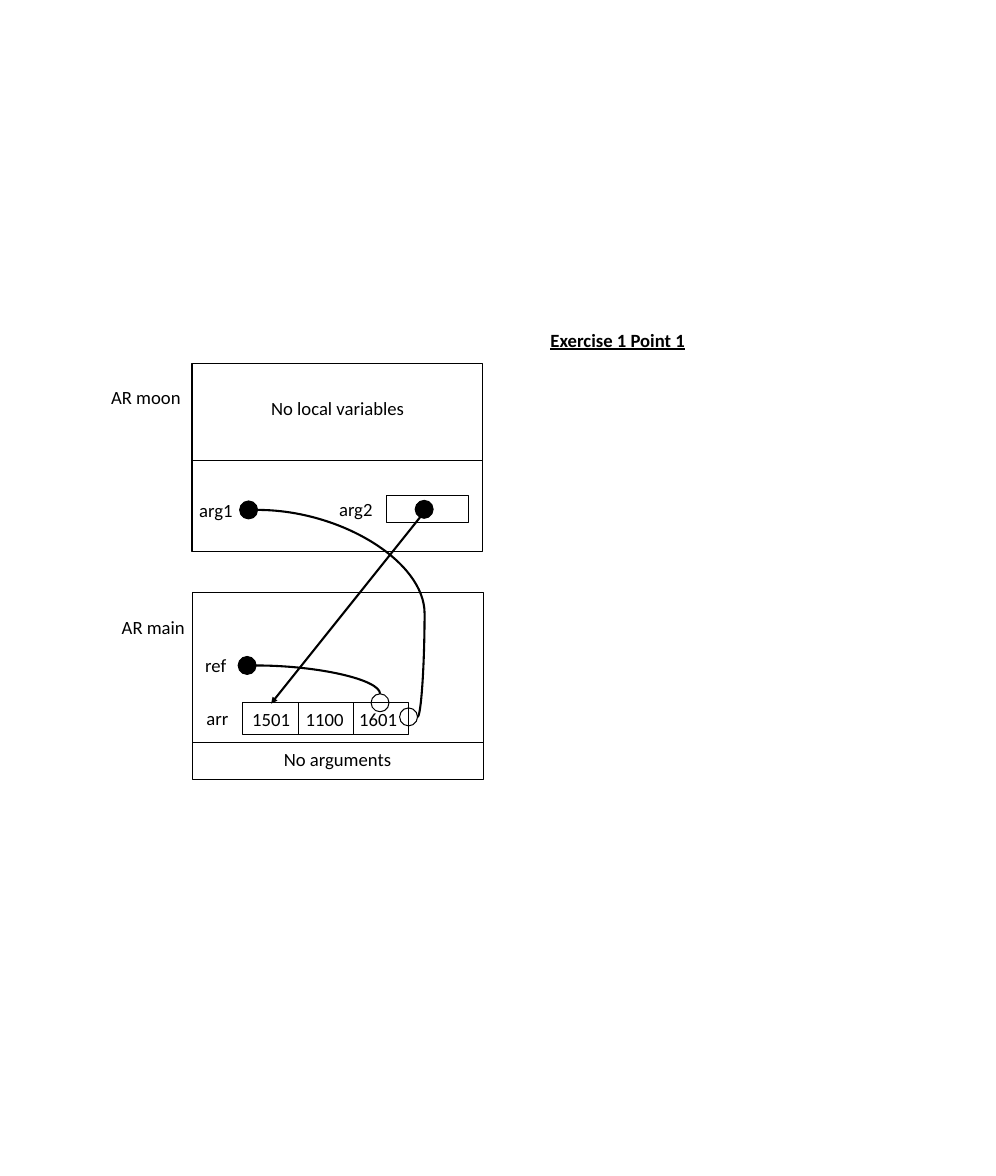
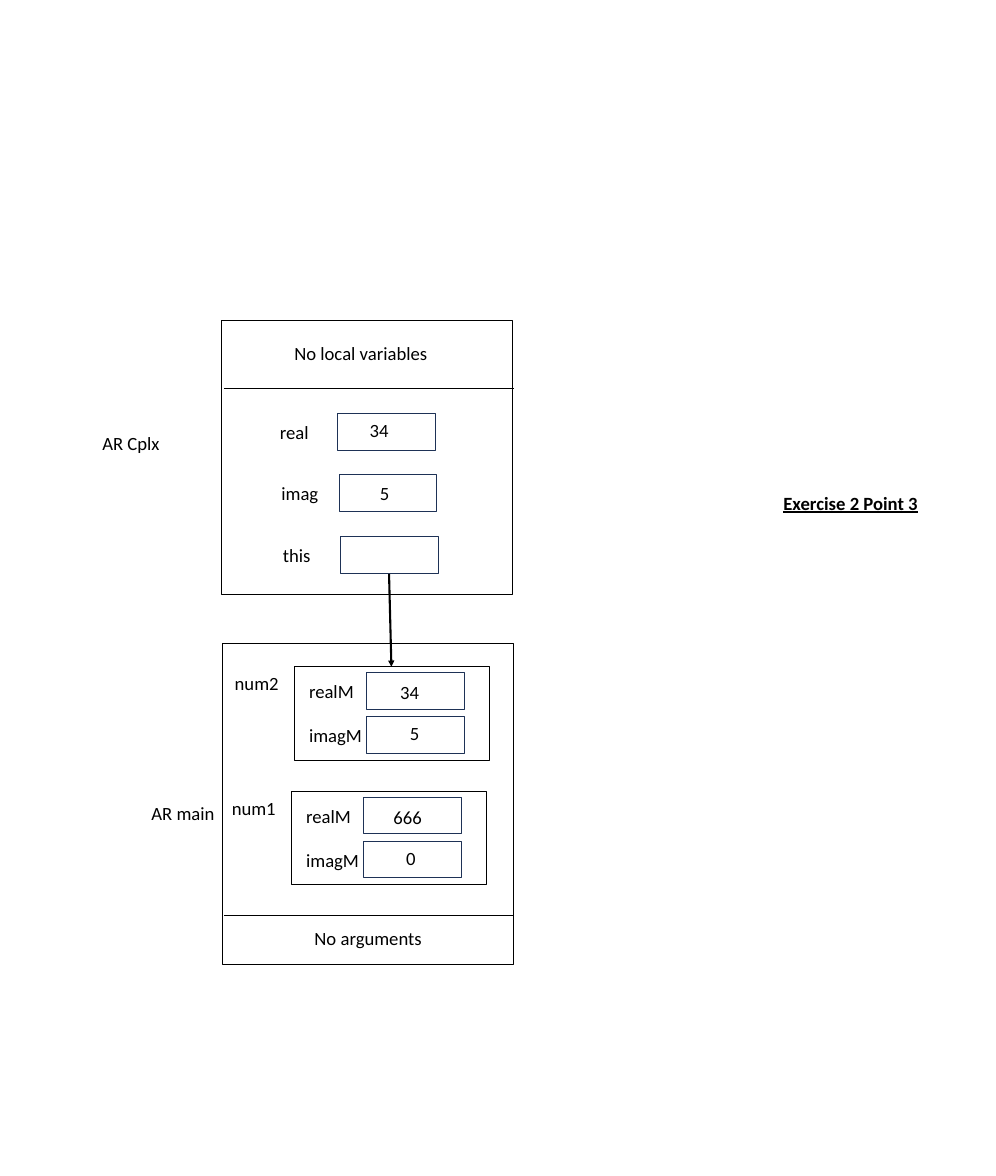
from dataclasses import dataclass

from lxml.etree import SubElement
from pptx import Presentation
from pptx.dml.color import RGBColor
from pptx.enum.shapes import MSO_CONNECTOR as Link, MSO_SHAPE as Preset
from pptx.enum.text import MSO_AUTO_SIZE as AutoSize, PP_ALIGN as Align
from pptx.oxml.ns import qn
from pptx.shapes.autoshape import Shape
from pptx.shapes.connector import Connector
from pptx.slide import Slide
from pptx.util import Cm, Pt

COLORS = {"ink": "000000", "field": "1E3256"}
FONT = "Calibri"
TEXT_SIZE = 18
LABEL_HEIGHT = 1.03
RECORD_WIDTH = 9.88
DIVIDER_WIDTH = 9.86
DOT_SIZE = 0.61
TITLE_WIDTH = 5.13
FIELD_WIDTH, FIELD_HEIGHT, FIELD_STEP = 3.33, 1.24, 1.5
TOP_SITE, RIGHT_SITE = 0, 6  # connection sites of an ellipse


@dataclass
class Label:
    """One line of text; centred labels keep their width."""
    text: str
    left: float
    top: float
    width: float
    centered: bool = False
    heading: bool = False


@dataclass
class Frame:
    """An outlined rectangle."""
    left: float
    top: float
    width: float
    height: float
    color: str = "ink"


@dataclass
class Record:
    """An activation record: frame, divider, caption and note."""
    caption: Label
    note: Label
    left: float
    top: float
    height: float
    divider_left: float
    divider_top: float


@dataclass
class Field:
    """A named variable with its value, shifted inside the box."""
    name: str
    name_width: float
    value: str
    left: float
    top: float
    shift: tuple[float, float] = (0, 0)


@dataclass
class Member:
    """A member of a complex number: value and shift in its box."""
    name: str
    name_width: float
    value: str
    shift: tuple[float, float]


@dataclass
class Complex:
    """An object that holds two members."""
    name: str
    left: float
    top: float
    members: list[Member]


def draw_label(page: Slide, label: Label) -> None:
    """Write one label."""
    box = page.shapes.add_textbox(
        Cm(label.left), Cm(label.top), Cm(label.width), Cm(LABEL_HEIGHT))
    box.text_frame.word_wrap = label.centered
    box.text_frame.auto_size = AutoSize.SHAPE_TO_FIT_TEXT
    para = box.text_frame.paragraphs[0]
    para.alignment = Align.CENTER if label.centered else Align.LEFT
    span = para.add_run()
    span.text = label.text
    span.font.name = FONT
    span.font.size = Pt(TEXT_SIZE)
    span.font.color.rgb = RGBColor.from_string(COLORS["ink"])
    if label.heading:
        span.font.bold = span.font.underline = True


def outline(shape: Shape, color: str) -> None:
    """Leave a shape with a thin line, no fill and no shadow."""
    shape.shadow.inherit = False
    shape.fill.background()
    shape.line.color.rgb = RGBColor.from_string(COLORS[color])
    shape.line.width = Pt(1)


def draw_frame(page: Slide, frame: Frame) -> None:
    """Draw an outlined rectangle."""
    shape = page.shapes.add_shape(
        Preset.RECTANGLE, Cm(frame.left), Cm(frame.top),
        Cm(frame.width), Cm(frame.height))
    outline(shape, frame.color)


def draw_dot(page: Slide, left: float, top: float, filled: bool = True) -> Shape:
    """Draw the solid start or the open end of a reference."""
    dot = page.shapes.add_shape(
        Preset.OVAL, Cm(left), Cm(top), Cm(DOT_SIZE), Cm(DOT_SIZE))
    outline(dot, "ink")
    if filled:
        dot.fill.solid()
        dot.fill.fore_color.rgb = RGBColor.from_string(COLORS["ink"])
    return dot


def style_line(line: Connector, width: float) -> None:
    """Give a connector its colour and width and take off the shadow."""
    line.line.color.rgb = RGBColor.from_string(COLORS["ink"])
    line.line.width = Pt(width)
    SubElement(line._element.spPr, qn("a:effectLst"))


def draw_divider(page: Slide, left: float, top: float) -> None:
    """Draw the thin rule inside a record."""
    rule = page.shapes.add_connector(
        Link.STRAIGHT, Cm(left), Cm(top), Cm(left + DIVIDER_WIDTH), Cm(top))
    style_line(rule, 0.5)


def draw_arrow(page: Slide, start: tuple[float, float],
               end: tuple[float, float]) -> None:
    """Draw a pointer with a triangle at its end."""
    arrow = page.shapes.add_connector(
        Link.STRAIGHT, *[Cm(value) for value in start + end])
    style_line(arrow, 2)
    SubElement(arrow.line._get_or_add_ln(), qn("a:tailEnd"), type="triangle")


def draw_curve(page: Slide, dot: Shape, ring: Shape, end_site: int,
               bend: int | None = None) -> None:
    """Join the right of a dot to a site of a ring, bent if asked."""
    if end_site == TOP_SITE:
        end = (ring.left + ring.width // 2, ring.top)
    else:
        end = (ring.left + ring.width, ring.top + ring.height // 2)
    curve = page.shapes.add_connector(
        Link.CURVE, dot.left + dot.width, dot.top + dot.height // 2, *end)
    style_line(curve, 2)
    joints = curve._element.nvCxnSpPr.cNvCxnSpPr
    for tag, shape, site in (("a:stCxn", dot, RIGHT_SITE),
                             ("a:endCxn", ring, end_site)):
        SubElement(joints, qn(tag), id=str(shape.shape_id), idx=str(site))
    geometry = curve._element.spPr.find(qn("a:prstGeom"))
    if bend is None:
        geometry.set("prst", "curvedConnector2")
    else:
        SubElement(geometry.find(qn("a:avLst")), qn("a:gd"),
                   name="adj1", fmla=f"val {bend}")


def draw_record(page: Slide, record: Record) -> None:
    """Draw an activation record."""
    draw_frame(page, Frame(record.left, record.top, RECORD_WIDTH, record.height))
    draw_divider(page, record.divider_left, record.divider_top)
    draw_label(page, record.caption)
    draw_label(page, record.note)


def draw_field(page: Slide, field: Field) -> None:
    """Draw a variable box with its name and value."""
    draw_frame(page, Frame(field.left, field.top, FIELD_WIDTH, FIELD_HEIGHT, "field"))
    draw_label(page, Label(field.name, field.left - 2.21, field.top + 0.13,
                           field.name_width))
    if field.value:
        right, down = field.shift
        draw_label(page, Label(field.value, field.left + right, field.top + down,
                               0.5 + 0.33 * len(field.value)))


def draw_complex(page: Slide, item: Complex) -> None:
    """Draw an object with its members one below the other."""
    draw_label(page, Label(item.name, item.left - 2.36, item.top + 0.05, 2.16, True))
    draw_frame(page, Frame(item.left, item.top, 6.63, 3.18))
    for row, member in enumerate(item.members):
        draw_field(page, Field(
            member.name, member.name_width, member.value, item.left + 2.46,
            item.top + 0.2 + row * FIELD_STEP, member.shift))


def draw_array_page(page: Slide) -> None:
    """Exercise 1: references into an array."""
    draw_label(page, Label("Exercise 1 Point 1", 18.47, 11.05, TITLE_WIDTH, heading=True))
    for record in (
        Record(Label("AR main", 3.89, 20.83, 2.69),
               Label("No arguments", 6.55, 25.32, DIVIDER_WIDTH, True),
               6.55, 20.14, 6.38, 6.55, 25.25),
        Record(Label("AR moon", 3.53, 13, 2.9),
               Label("No local variables", 6.55, 13.39, DIVIDER_WIDTH, True),
               6.53, 12.37, 6.38, 6.58, 15.67),
    ):
        draw_record(page, record)
    cell_width = 1.88
    for index, value in enumerate(("1501", "1100", "1601")):
        draw_frame(page, Frame(8.26 + index * cell_width, 23.88, cell_width, 1.12))
        draw_label(page, Label(value, 8.28 + index * 1.82, 23.94, cell_width, True))
    draw_frame(page, Frame(13.16, 16.84, 2.77, 0.94))
    for label in (
        Label("arr", 6.53, 23.93, 1.73, True),
        Label("arg1", 6.48, 16.84, 1.73, True),
        Label("arg2", 10.92, 16.81, 2.36, True),
        Label("ref", 6.73, 22.1, 1.73),
    ):
        draw_label(page, label)
    first_argument = draw_dot(page, 8.15, 17.04)
    draw_dot(page, 14.12, 17.02)
    reference = draw_dot(page, 8.1, 22.33)
    last_cell = draw_dot(page, 12.62, 23.6, filled=False)
    array_end = draw_dot(page, 13.59, 24.08, filled=False)
    draw_curve(page, first_argument, array_end, RIGHT_SITE, bend=104400)
    draw_curve(page, reference, last_cell, TOP_SITE)
    draw_arrow(page, (14.48, 17.35), (9.22, 23.93))


def draw_complex_page(page: Slide) -> None:
    """Exercise 2: a constructor call on a complex number."""
    draw_label(page, Label("Exercise 2 Point 3", 26.39, 16.59, TITLE_WIDTH, heading=True))
    for record in (
        Record(Label("AR main", 4.9, 27.15, 2.69),
               Label("No arguments", 7.59, 31.39, DIVIDER_WIDTH, True),
               7.57, 21.89, 10.92, 7.62, 31.12),
        Record(Label("AR Cplx", 3.23, 14.55, 2.49),
               Label("No local variables", 7.34, 11.51, DIVIDER_WIDTH, True),
               7.54, 10.9, 9.32, 7.62, 13.21),
    ):
        draw_record(page, record)
    for field in (
        Field("real", 1.5, "34", 11.48, 14.07, (0.84, 0.05)),
        Field("imag", 1.78, "5", 11.53, 16.15, (1.14, 0.13)),
        Field("this", 1.47, "", 11.58, 18.26),
    ):
        draw_field(page, field)
    for item in (
        Complex("num2", 10.01, 22.68, [Member("realM", 2.06, "34", (0.89, 0.15)),
                                       Member("imagM", 2.34, "5", (1.22, 0.05))]),
        Complex("num1", 9.91, 26.92, [Member("realM", 2.06, "666", (0.76, 0.15)),
                                      Member("imagM", 2.34, "0", (1.19, 0.05))]),
    ):
        draw_complex(page, item)
    draw_arrow(page, (13.23, 19.53), (13.31, 22.68))


def main() -> None:
    """Build the deck."""
    deck = Presentation()
    deck.slide_width, deck.slide_height = Cm(33.87), Cm(40)
    blank = deck.slide_layouts[6]
    for draw_page in (draw_array_page, draw_complex_page):
        draw_page(deck.slides.add_slide(blank))
    deck.save("out.pptx")


main()
